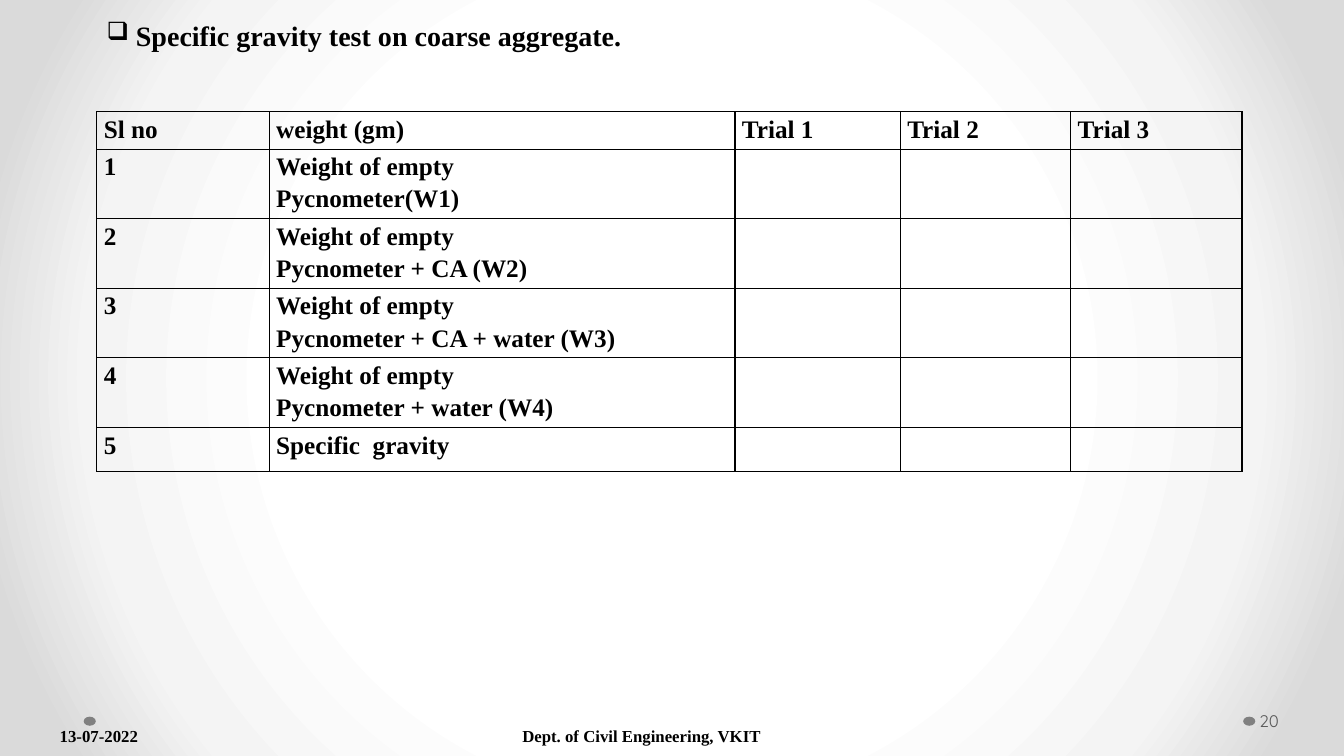
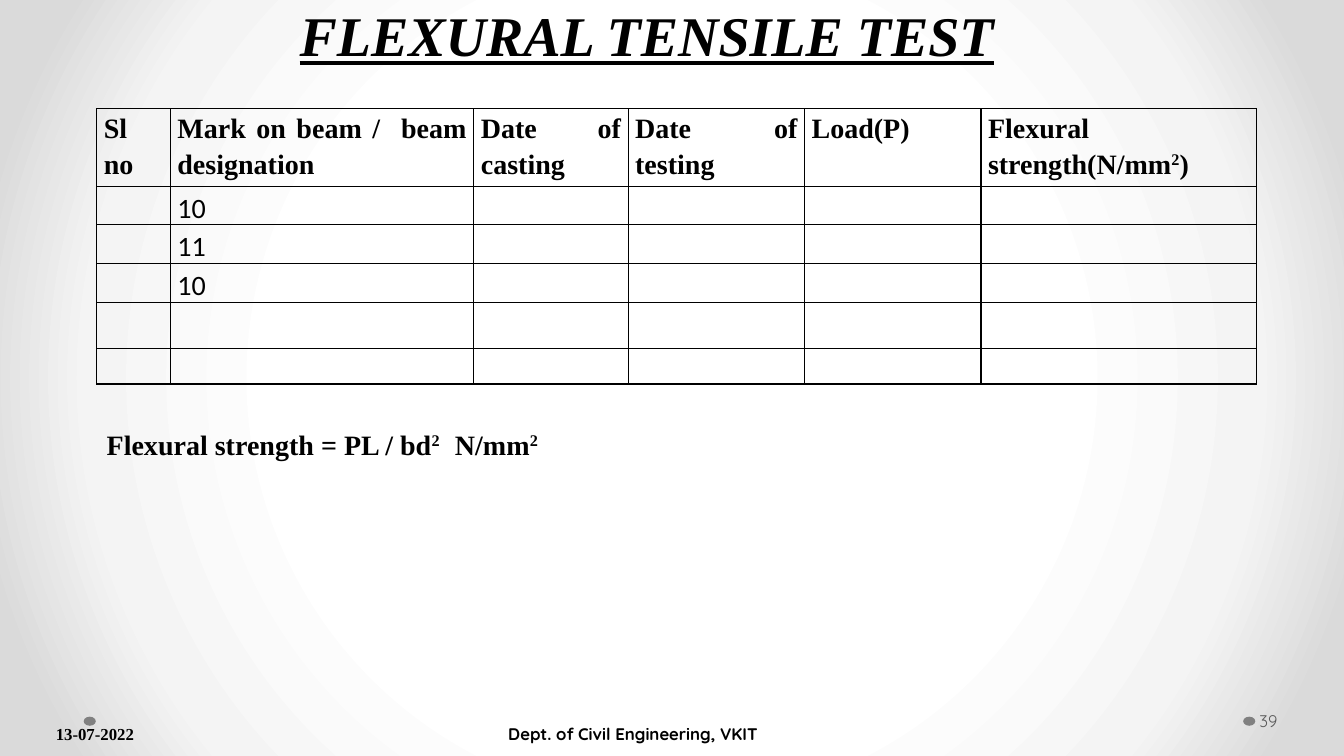
from dataclasses import dataclass, replace

from lxml import etree
from pptx import Presentation
from pptx import util as u
from pptx.dml.color import RGBColor
from pptx.enum import shapes, text
from pptx.oxml import parse_xml
from pptx.oxml.ns import nsdecls, qn


@dataclass(frozen=True)
class Style:
    size: float
    font: str = "Times New Roman"
    color: str = "000000"
    bold: bool = True
    italic: bool = False
    underline: bool = False


class Theme:
    backdrop = ((50, "FFFFFF"), (76, "F4F4F4"), (92, "DADADA"))
    dot = "808080"
    border = "000000"
    title = Style(40, italic=True, underline=True)
    heading = Style(20)
    cell = Style(18)
    value = Style(20, "Calibri", bold=False)
    footer = Style(12)
    number = Style(12, "Quicksand", "595959", bold=False)


ALIGN = text.PP_ALIGN


# ---- Text ----
def write(p, content, style, align=ALIGN.LEFT):
    """Fill a paragraph; parts between ^ marks are superscript."""
    p.alignment = align
    for i, part in enumerate(content.split("^")):
        if not part:
            continue
        r = p.add_run()
        r.text = part
        f = r.font
        f.name, f.size = style.font, u.Pt(style.size)
        f.bold, f.italic, f.underline = style.bold, style.italic, style.underline
        f.color.rgb = RGBColor.from_string(style.color)
        if i % 2:
            f._element.set("baseline", "30000")


def set_insets(frame, insets):
    sides = ("margin_left", "margin_top", "margin_right", "margin_bottom")
    for side, inset in zip(sides, insets):
        setattr(frame, side, u.Inches(inset))


def add_line(s, box, content, style, align=ALIGN.LEFT, bullet=None):
    """One-line text box that fits its text."""
    tf = s.shapes.add_textbox(*map(u.Inches, box)).text_frame
    tf.word_wrap = False
    tf.auto_size = text.MSO_AUTO_SIZE.SHAPE_TO_FIT_TEXT
    p = tf.paragraphs[0]
    if bullet:
        pPr = p._p.get_or_add_pPr()
        indent = u.Inches(0.29)
        pPr.set("marL", str(indent))
        pPr.set("indent", str(-indent))
        etree.SubElement(pPr, qn("a:buSzPct")).set("val", "90000")
        etree.SubElement(pPr, qn("a:buChar")).set("char", bullet)
    write(p, content, style, align)


# ---- Shared slide furniture ----
def set_backdrop(master):
    master.background.fill.solid()
    stops = "".join(
        f'<a:gs pos="{pos * 1000}"><a:srgbClr val="{color}"/></a:gs>'
        for pos, color in Theme.backdrop)
    gradient = parse_xml(
        f'<a:gradFill {nsdecls("a")} rotWithShape="1"><a:gsLst>{stops}</a:gsLst>'
        '<a:path path="circle"><a:fillToRect l="50000" t="50000" r="50000" '
        'b="50000"/></a:path></a:gradFill>')
    bgPr = master.element.find(".//" + qn("p:bgPr"))
    bgPr.replace(bgPr[0], gradient)


def add_footer(s, number, top, date_right, dept_left, dept_font):
    # Dots
    for left in (12.33, 0.83):
        sp = s.shapes.add_shape(shapes.MSO_SHAPE.OVAL,
                                *map(u.Inches, (left, 7.11, 0.12, 0.09)))
        sp.shadow.inherit = False
        sp.fill.solid()
        sp.fill.fore_color.rgb = RGBColor.from_string(Theme.dot)
        sp.line.fill.background()
    # Date, department and slide number
    dept_style = replace(Theme.footer, font=dept_font)
    fields = (
        ("13-07-2022", 0.19, top, date_right - 0.19, (0.1, 0.05, 0.05, 0.05),
         Theme.footer, ALIGN.RIGHT),
        ("Dept. of Civil Engineering, VKIT", dept_left, top, 4.15,
         (0.05, 0.05, 0.1, 0.05), dept_style, ALIGN.LEFT),
        (number, 12.46, 6.95, 0.82, (0.03, 0.05, 0.05, 0.05),
         Theme.number, ALIGN.LEFT),
    )
    for content, left, y, width, insets, style, align in fields:
        tf = s.shapes.add_textbox(*map(u.Inches, (left, y, width, 0.4))).text_frame
        tf.word_wrap = True
        tf.vertical_anchor = text.MSO_ANCHOR.MIDDLE
        set_insets(tf, insets)
        write(tf.paragraphs[0], content, style, align)


# ---- Tables ----
def format_cell(cell):
    set_insets(cell, (0.07, 0, 0.07, 0))
    cell.fill.background()
    tcPr = cell._tc.get_or_add_tcPr()
    for i, side in enumerate(("lnL", "lnR", "lnT", "lnB")):
        tcPr.insert(i, parse_xml(
            f'<a:{side} {nsdecls("a")} w="{u.Pt(1)}"><a:solidFill>'
            f'<a:srgbClr val="{Theme.border}"/></a:solidFill></a:{side}>'))


def add_grid(s, left, top, widths, heights, rows, head_style, body_style):
    """Ruled table; short rows leave their remaining cells empty."""
    table = s.shapes.add_table(
        len(heights), len(widths),
        *map(u.Inches, (left, top, sum(widths), sum(heights)))).table
    table.first_row = table.horz_banding = False
    for col, width in zip(table.columns, widths):
        col.width = u.Inches(width)
    for row, height in zip(table.rows, heights):
        row.height = u.Inches(height)
    for cell in table.iter_cells():
        format_cell(cell)
    for i, row in enumerate(rows):
        for j, content in enumerate(row):
            tf = table.cell(i, j).text_frame
            for k, line in enumerate(content.split("\n") if content else ()):
                p = tf.add_paragraph() if k else tf.paragraphs[0]
                p.line_spacing = 1.15
                write(p, line, body_style if i else head_style, ALIGN.JUSTIFY)


# ---- Slides ----
def gravity_slide(s):
    add_footer(s, "20", 7.1, 1.42, 5.13, "Times New Roman")
    measures = ("Weight of empty\nPycnometer(W1)",
                "Weight of empty\nPycnometer + CA (W2)",
                "Weight of empty\nPycnometer + CA + water (W3)",
                "Weight of empty\nPycnometer + water (W4)",
                "Specific  gravity")
    rows = [("Sl no", "weight (gm)", "Trial 1", "Trial 2", "Trial 3")]
    rows += [(str(n), measure) for n, measure in enumerate(measures, 1)]
    add_grid(s, 0.96, 1.11, (1.71, 4.62, 1.64, 1.69, 1.7),
             (0.37, *[0.45] * 4, 0.44), rows, Theme.cell, Theme.cell)
    add_line(s, (0.96, 0.13, 5.34, 0.44),
             "Specific gravity test on coarse aggregate.",
             Theme.heading, bullet="❑")


def flexural_slide(s):
    add_footer(s, "39", 7.08, 1.38, 4.99, "Quicksand")
    rows = [("Sl no", "Mark on beam /  beam designation", "Date of casting",
             "Date of testing", "Load(P)", "Flexural strength(N/mm^2^)")]
    rows += [("", mark) for mark in ("10", "11", "10")]
    add_grid(s, 0.96, 1.08, (0.73, 3.01, 1.53, 1.75, 1.75, 2.73),
             (0.67, 0.35, 0.35, 0.35, 0.46, 0.35), rows,
             Theme.heading, Theme.value)
    add_line(s, (2.84, -0.04, 7.15, 0.77), "FLEXURAL TENSILE TEST",
             Theme.title, ALIGN.CENTER)
    add_line(s, (0.96, 4.19, 4.54, 0.44),
             "Flexural strength = PL / bd^2  ^ N/mm^2^", Theme.heading)


def main():
    prs = Presentation()
    prs.slide_width, prs.slide_height = u.Inches(13.33), u.Inches(7.5)
    set_backdrop(prs.slide_master)
    for build in (gravity_slide, flexural_slide):
        build(prs.slides.add_slide(prs.slide_layouts[6]))
    prs.save("out.pptx")


if __name__ == "__main__":
    main()
